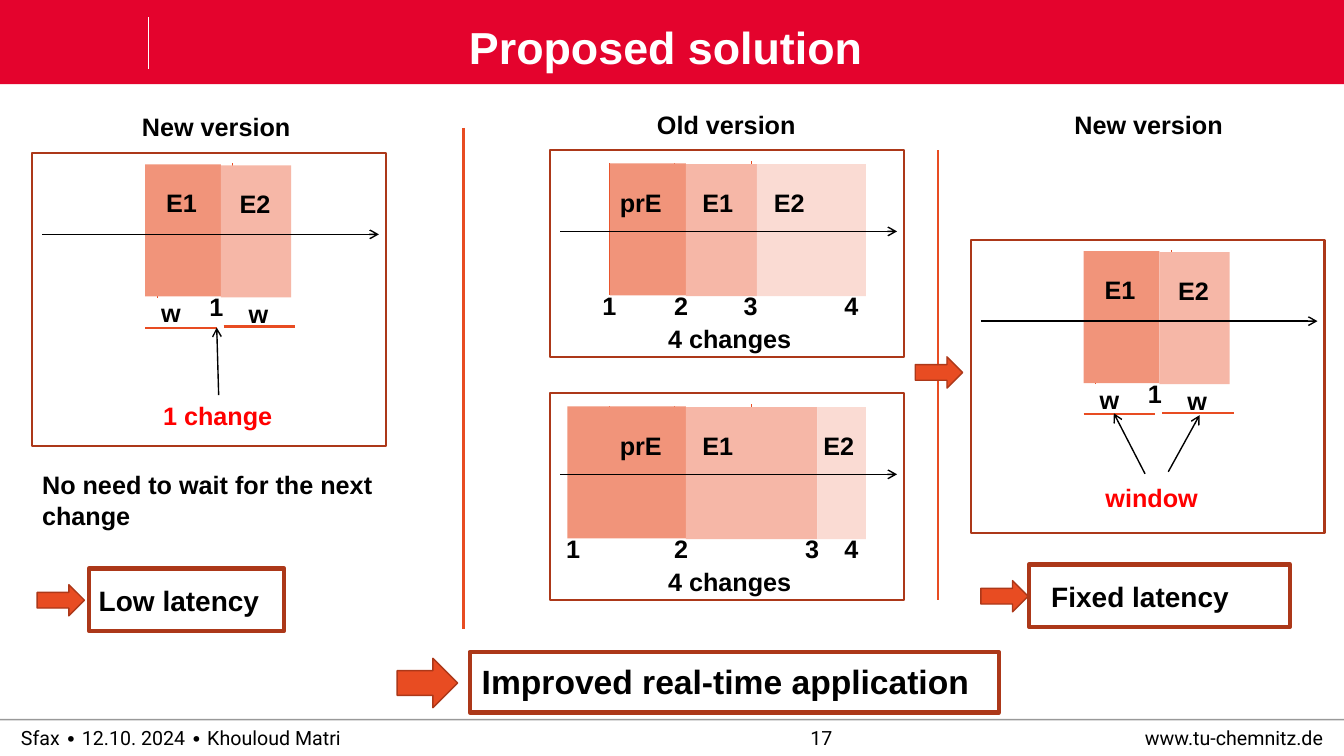
from dataclasses import dataclass, field
from typing import Any

from lxml import etree
from pptx import Presentation
from pptx import util as u
from pptx.dml.color import RGBColor
from pptx.enum import shapes, text
from pptx.oxml.ns import qn

HUES = {
    "red": "E4032D", "white": "FFFFFF", "black": "000000", "alert": "FF0000",
    "rust": "AC3819", "flame": "E84C22",
    "dark": "F1947A", "mid": "F6B7A7", "pale": "FADBD3",
}
FORMS = shapes.MSO_SHAPE
ALIGN = text.PP_ALIGN
MID = text.MSO_ANCHOR.MIDDLE


@dataclass
class Deck:
    slide: Any
    font: str = "Arial"
    size: float = 18
    hues: dict = field(default_factory=lambda: HUES)

    def hue(self, name):
        return RGBColor.from_string(self.hues[name])

    def run(self, para, words, size, hue, bold=True, font=None):
        run = para.add_run()
        run.text = words
        run.font.name = font or self.font
        run.font.size = u.Pt(size)
        run.font.bold = bold
        run.font.color.rgb = self.hue(hue)

    def title(self, words, x, y, w, h):
        head = self.slide.shapes.title
        head.left, head.top, head.width, head.height = map(u.Pt, (x, y, w, h))
        frame = head.text_frame
        self.inset(frame)
        frame.auto_size = text.MSO_AUTO_SIZE.NONE
        para = frame.paragraphs[0]
        para.alignment = ALIGN.CENTER
        para.line_spacing = 0.9
        self.run(para, words, 32, "white")
        # Bring the title in front of the banner
        head.element.getparent().append(head.element)

    def inset(self, frame):
        frame.margin_left = frame.margin_right = 0
        frame.margin_top = frame.margin_bottom = 0
        frame.vertical_anchor = MID

    def label(self, words, x, y, w, h=29, size=None, hue="black", wrap=False):
        box = self.slide.shapes.add_textbox(*map(u.Pt, (x, y, w, h)))
        frame = box.text_frame
        frame.word_wrap = wrap
        frame.auto_size = text.MSO_AUTO_SIZE.SHAPE_TO_FIT_TEXT
        self.run(frame.paragraphs[0], words, size or self.size, hue)

    def foot(self, words, x, w, align):
        box = self.slide.shapes.add_textbox(*map(u.Pt, (x, 514, w, 26.5)))
        frame = box.text_frame
        frame.word_wrap = True
        self.inset(frame)
        para = frame.paragraphs[0]
        para.alignment = align
        self.run(para, words, 14, "black", False, "Roboto")

    def shape(self, x, y, w, h, fill=None, line=None, width=1.5,
              form=FORMS.RECTANGLE):
        item = self.slide.shapes.add_shape(form, *map(u.Pt, (x, y, w, h)))
        item.shadow.inherit = False
        if fill:
            item.fill.solid()
            item.fill.fore_color.rgb = self.hue(fill)
        else:
            item.fill.background()
        if line:
            item.line.color.rgb = self.hue(line)
            item.line.width = u.Pt(width)
        else:
            item.line.fill.background()

    def block(self, x, y, w, h):
        self.shape(x, y, w, h, "flame", "rust", 1, FORMS.RIGHT_ARROW)

    def line(self, x1, y1, x2, y2, hue="flame", width=1.5, tip=False,
             alpha=None):
        item = self.slide.shapes.add_connector(
            shapes.MSO_CONNECTOR.STRAIGHT, *map(u.Pt, (x1, y1, x2, y2)))
        item.line.color.rgb = self.hue(hue)
        item.line.width = u.Pt(width)
        props = item.element.spPr
        edge = props.find(qn("a:ln"))
        if alpha:
            tint = edge.find(".//" + qn("a:srgbClr"))
            etree.SubElement(tint, qn("a:alpha"), val=str(alpha * 1000))
        if tip:
            etree.SubElement(edge, qn("a:tailEnd"), type="arrow")
        etree.SubElement(props, qn("a:effectLst"))

    def arrow(self, x1, y1, x2, y2):
        self.line(x1, y1, x2, y2, "black", 1, True)

    def graph(self, x, y, high, ticks, edges, tints, names):
        """Framed time axis with tinted event bands."""
        self.shape(x, y, 252.7, high, line="rust")
        for dx, dy in ticks:
            self.line(x + dx, y + dy, x + dx, y + dy + 94.3, width=0.5)
        tops = [9.4 if len(tints) == 3 else 8] + [10 if len(tints) == 3 else 8.7] * 2
        for left, right, top, tint in zip(edges, edges[1:], tops, tints):
            self.shape(x + left, y + top, right - left, 94.3, tint)
        self.arrow(x + 7.2, y + 58, x + 247.7, y + 58)
        for word, dx, dy, w in names:
            self.label(word, x + dx, y + dy, w)

    def old(self, y, edges, marks, last):
        x = 393.1
        self.graph(x, y, 147.6, [(42.5, 9.4), (88.6, 9.4), (143.3, 7.9)],
                   edges, ["dark", "mid", "pale"],
                   [("prE", 42.5, 23, 51), ("E1", 101.5, 23, 36.7),
                    ("E2", last, 23, 36.7)])
        for num, dx in enumerate(marks, 1):
            self.label(str(num), x + dx, y + 96.8, 24.5)
        self.label("4 changes", x + 77, y + 120.2, 103.7)

    def new(self, x, y):
        self.graph(x, y, 209.5, [(89.3, 8.9), (143.3, 7.2)],
                   [80.6, 134.8, 185], ["dark", "mid"],
                   [("E1", 88.6, 20.9, 36.7), ("E2", 141.1, 21.6, 36.7),
                    ("1", 119.5, 95.4, 24.5), ("w", 85, 99.4, 28.8),
                    ("w", 147.6, 100.4, 28.8)])
        self.line(x + 80.6, y + 124.6, x + 131.8, y + 124.6)
        self.line(x + 136.8, y + 123.8, x + 187.9, y + 123.8)


def main():
    show = Presentation()
    show.slide_width, show.slide_height = u.Pt(960), u.Pt(540)
    deck = Deck(show.slides.add_slide(show.slide_layouts[5]))

    # Banner and footer
    deck.shape(0, 0, 960, 60.2, "red")
    deck.line(106, 12.2, 106, 49, "white", 0.5)
    deck.title("Proposed solution ", 69, 17.3, 822.2, 36.7)
    deck.line(0, 514, 960, 514, "black", 1, alpha=40)
    deck.foot("Sfax ∙ 12.10. 2024 ∙ Khouloud Matri", 15, 453.6, ALIGN.LEFT)
    deck.foot("17", 366.5, 440.6, ALIGN.CENTER)
    deck.foot("www.tu-chemnitz.de", 650, 295.2, ALIGN.RIGHT)

    # Column heads and dividers
    deck.label("New version", 94.3, 75.6, 121.7)
    deck.label("Old version", 462.2, 74.2, 114.5)
    deck.label("New version", 760.3, 74.2, 121.7)
    deck.line(331.2, 91.4, 331.2, 449.3, width=2.25)
    deck.line(670.3, 107.3, 670.3, 428.4)

    # Old version: uneven windows
    deck.old(107.3, [42.5, 96.8, 147.6, 225.4], [30.2, 81.4, 131, 203], 152.6)
    deck.old(280.8, [12.2, 96.8, 190.8, 225.4], [4.3, 81.4, 175, 203], 187.9)

    # New version, left: a single change
    deck.new(23, 109.4)
    deck.arrow(156.2, 282.2, 154.8, 234)
    deck.label("1 change", 109.4, 282.2, 93.6, hue="alert")
    deck.label("No need to wait for the next change", 23, 332, 252.7, 51,
               wrap=True)

    # New version, right: fixed windows
    deck.new(693.4, 171.4)
    deck.arrow(817.9, 338.4, 795.6, 295.2)
    deck.arrow(834.5, 337, 856.8, 296.6)
    deck.label("window", 782.6, 340.6, 81.4, hue="alert")

    # Results
    deck.shape(63.4, 406, 139.7, 44.6, line="rust", width=3)
    deck.label("Low latency", 63.4, 413.3, 130.3, 31.7, 20)
    deck.shape(735, 403.2, 186.5, 44.6, line="rust", width=3)
    deck.label("Fixed latency", 743.8, 410.4, 147.6, 31.7, 20)
    deck.shape(335.5, 465.8, 378, 43.2, line="rust", width=3)
    deck.label("Improved real-time application", 337, 468.7, 378, 36, 24,
               wrap=True)

    # Block arrows
    for x, y in [(26.6, 417.6), (653.8, 254.9), (700.6, 414.7)]:
        deck.block(x, y, 33.8, 22.3)
    deck.block(283.7, 470.2, 43.2, 35.3)

    show.save("out.pptx")


if __name__ == "__main__":
    main()
